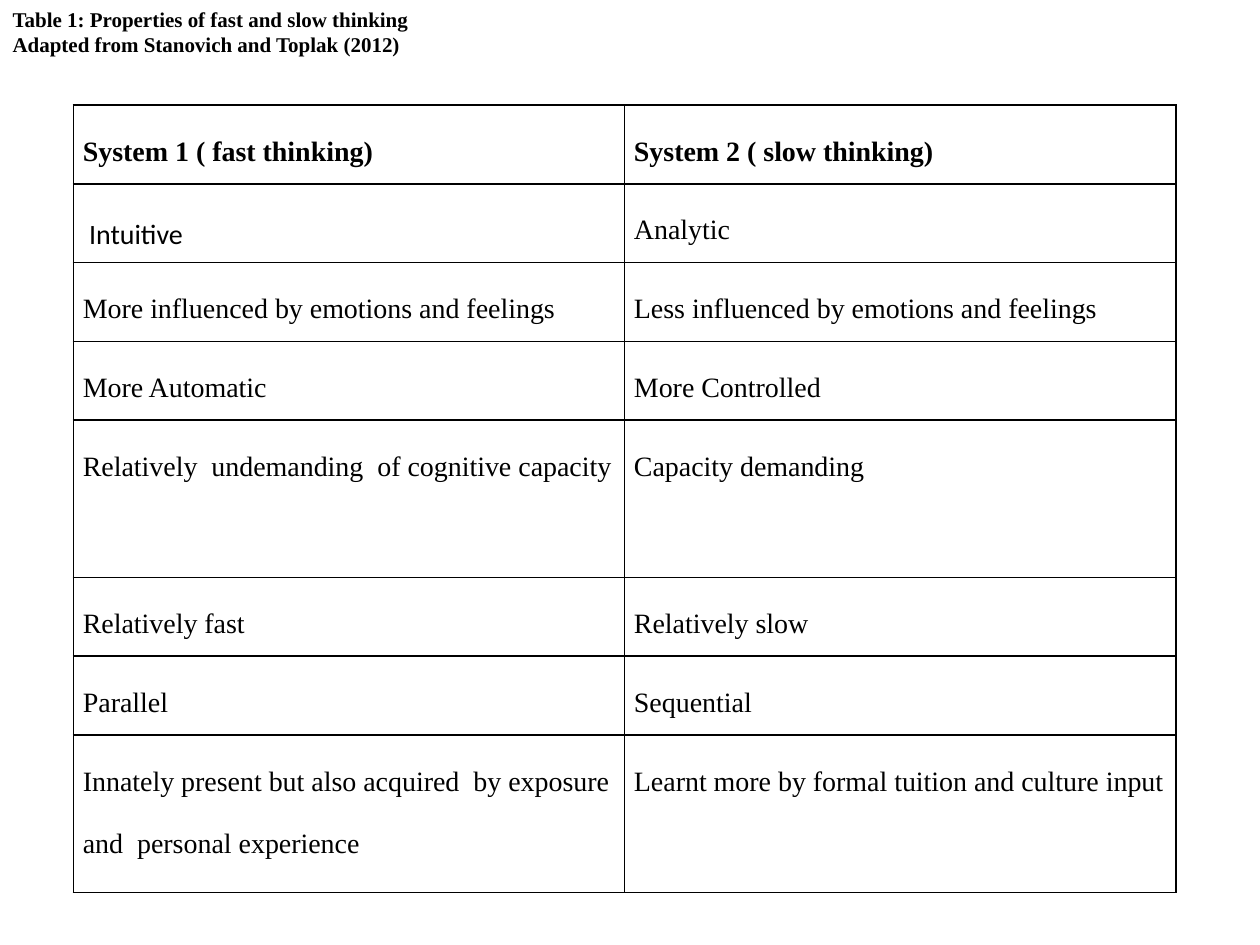
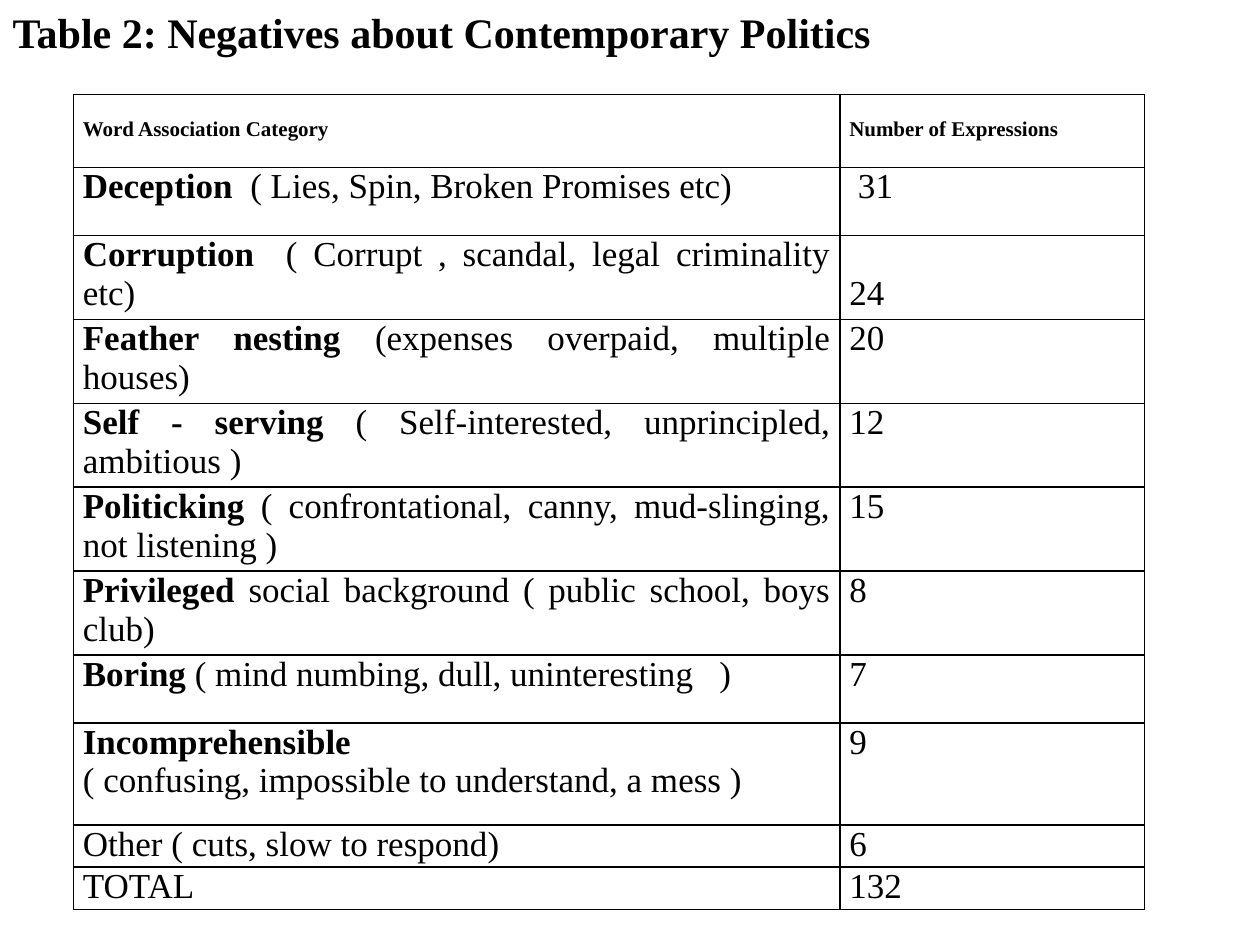
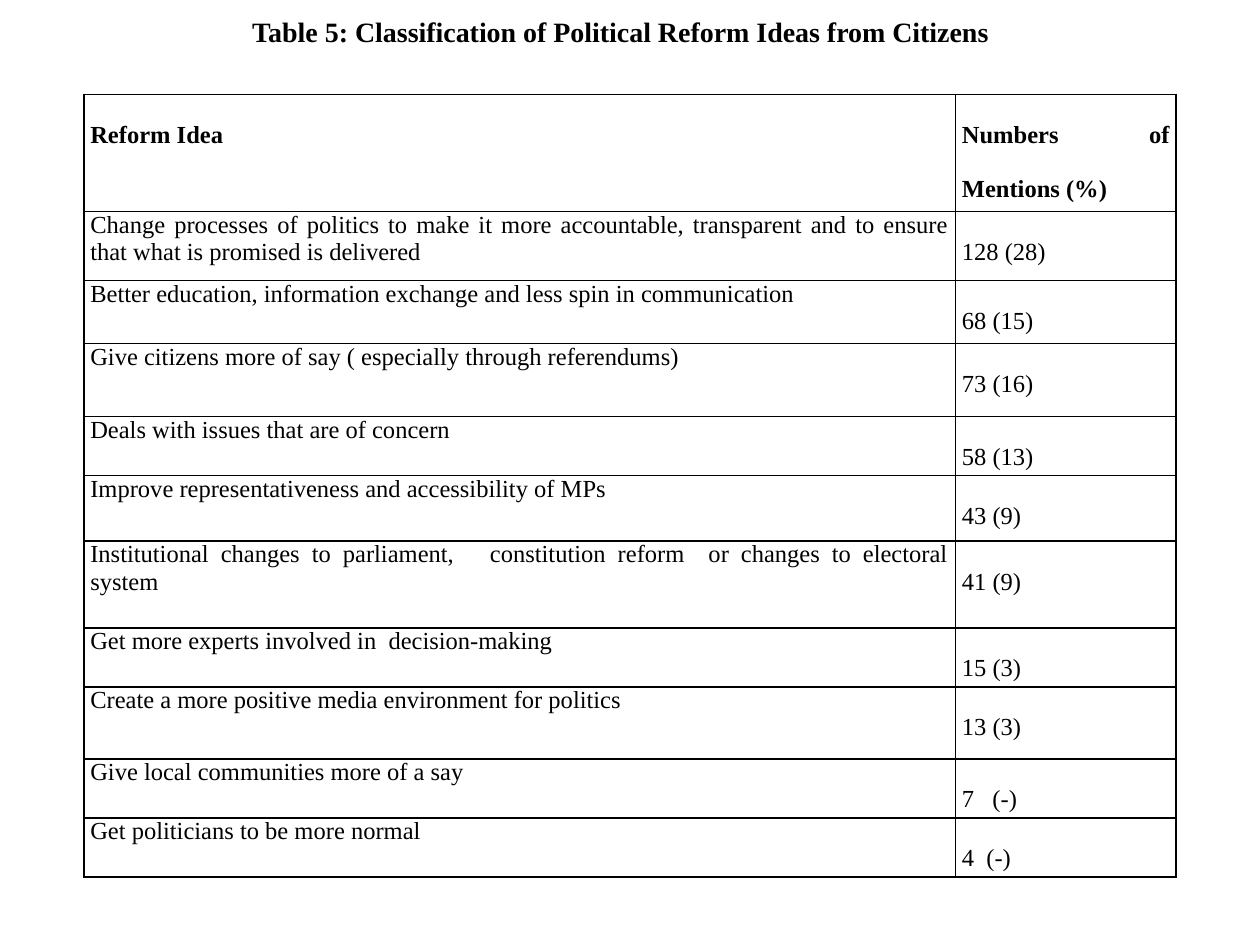
from lxml import etree
from pptx import Presentation
from pptx import util as u
from pptx.dml.color import RGBColor
from pptx.enum import text
from pptx.oxml import ns

BLACK = RGBColor(0, 0, 0)
SERIF = "Times New Roman"
LEFT, JUSTIFY = text.PP_ALIGN.LEFT, text.PP_ALIGN.JUSTIFY
TITLE_ONLY = 5

SLIDES = [
    {
        "title": "Table 1: Properties of fast and slow thinking\n"
                 "Adapted from Stanovich and Toplak (2012)",
        "title_box": (0, 0, 25.4, 1.27), "title_size": 12,
        "origin": (1.48, 2.12), "columns": (11.11, 11.12),
        "heights": [15.87 * share / 10 for share in (1, 1, 1, 1, 2, 1, 1, 2)],
        "margin": 0.19, "alignment": LEFT, "sizes": (16, 16),
        "line_spacing": (2.0, 2.0), "space_after": 0,
        "fonts": {(1, 0): "Calibri"}, "double_spaced": (),
        "rows": [
            ("System 1 ( fast thinking)", "System 2 ( slow thinking)"),
            (" Intuitive", "Analytic"),
            ("More influenced by emotions and feelings",
             "Less influenced by emotions and feelings"),
            ("More Automatic", "More Controlled"),
            ("Relatively  undemanding  of cognitive capacity", "Capacity demanding"),
            ("Relatively fast", "Relatively slow"),
            ("Parallel", "Sequential"),
            ("Innately present but also acquired  by exposure and  personal experience",
             "Learnt more by formal tuition and culture input"),
        ],
    },
    {
        "title": "Table 2: Negatives about Contemporary Politics",
        "title_box": (0, 0, 18.19, 1.27), "title_size": 24,
        "origin": (1.48, 1.9), "columns": (15.45, 6.14),
        "heights": (1.48, 1.37, *[1.69] * 5, 1.37, 2.06, 0.85, 0.85),
        "margin": 0.19, "alignment": JUSTIFY, "sizes": (12, 20),
        "line_spacing": (1.0, 1.0), "space_after": 0,
        "fonts": {}, "double_spaced": ((2, 1),),
        "rows": [
            ("Word Association Category", "Number of Expressions"),
            ("Deception|  ( Lies, Spin, Broken Promises etc)", " 31"),
            ("Corruption|  ( Corrupt , scandal, legal criminality etc)", "24"),
            ("Feather nesting| (expenses overpaid, multiple houses)", "20"),
            ("Self - serving| ( Self-interested, unprincipled, ambitious )", "12"),
            ("Politicking| ( confrontational, canny, mud-slinging, not listening )", "15"),
            ("Privileged |social background ( public school, boys club)", "8"),
            ("Boring| ( mind numbing, dull, uninteresting   )", "7"),
            ("Incomprehensible|\n( confusing, impossible to understand, a mess )", "9"),
            ("Other ( cuts, slow to respond)", "6"),
            ("TOTAL", "132"),
        ],
    },
    {
        "title": "Table 5: Classification of Political Reform Ideas from Citizens",
        "title_box": (4.83, 0.16, 15.72, 0.95), "title_size": 16,
        "origin": (1.69, 1.9), "columns": (17.57, 4.45),
        "heights": (2.36, 1.4, 1.27, 1.47, 1.19, 1.32, 1.75, 1.19, 1.45, 1.19, 1.19),
        "margin": 0.13, "alignment": JUSTIFY, "sizes": (14, 14),
        "line_spacing": (1.0, 2.0), "space_after": 10,
        "fonts": {}, "double_spaced": (),
        "rows": [
            ("Reform Idea", "Numbers of Mentions (%)"),
            ("Change processes of politics to make it more accountable, transparent "
             "and to ensure that what is promised is delivered", "128 (28)"),
            ("Better education, information exchange and less spin in communication",
             "68 (15)"),
            ("Give citizens more of say ( especially through referendums)", "73 (16)"),
            ("Deals with issues that are of concern", "58 (13)"),
            ("Improve representativeness and accessibility of MPs", "43 (9)"),
            ("Institutional changes to parliament,   constitution reform  "
             "or changes to electoral system", "41 (9)"),
            ("Get more experts involved in  decision-making", "15 (3)"),
            ("Create a more positive media environment for politics", "13 (3)"),
            ("Give local communities more of a say", "7   (-)"),
            ("Get politicians to be more normal", "4  (-)"),
        ],
    },
]


def set_attributes(target, **values):
    for name, value in values.items():
        setattr(target, name, value)


def write(frame, content, bold, font, size, **paragraph_format):
    for index, line in enumerate(content.split("\n")):
        paragraph = frame.paragraphs[0] if index == 0 else frame.add_paragraph()
        set_attributes(paragraph, **paragraph_format)
        lead, _, rest = line.rpartition("|")
        for words, is_bold in ((lead, True), (rest, bold)):
            if words:
                run = paragraph.add_run()
                run.text = words
                set_attributes(run.font, name=font, size=u.Pt(size), bold=is_bold)
                run.font.color.rgb = BLACK


def add_borders(cell):
    properties = cell._tc.get_or_add_tcPr()
    for index, side in enumerate(("lnL", "lnR", "lnT", "lnB")):
        line = etree.Element(ns.qn("a:" + side), w=str(u.Pt(1)))
        fill = etree.SubElement(line, ns.qn("a:solidFill"))
        etree.SubElement(fill, ns.qn("a:srgbClr"), val=str(BLACK))
        properties.insert(index, line)


def add_title(slide, content):
    title = slide.shapes.title
    for name, value in zip(("left", "top", "width", "height"), content["title_box"]):
        setattr(title, name, u.Cm(value))
    set_attributes(title.text_frame, word_wrap=True,
                   auto_size=text.MSO_AUTO_SIZE.NONE,
                   vertical_anchor=text.MSO_ANCHOR.MIDDLE)
    write(title.text_frame, content["title"], True, SERIF, content["title_size"],
          alignment=LEFT)


def add_table(slide, content):
    rows, columns, heights = content["rows"], content["columns"], content["heights"]
    left, top = content["origin"]
    box = [u.Cm(value) for value in (left, top, sum(columns), sum(heights))]
    table = slide.shapes.add_table(len(rows), len(columns), *box).table
    set_attributes(table, first_row=False, horz_banding=False)
    for column, width in zip(table.columns, columns):
        column.width = u.Cm(width)
    margin = u.Cm(content["margin"])
    for r, row in enumerate(rows):
        table.rows[r].height = u.Cm(heights[r])
        for c, words in enumerate(row):
            cell = table.cell(r, c)
            set_attributes(cell, margin_left=margin, margin_right=margin,
                           margin_top=0, margin_bottom=0,
                           vertical_anchor=text.MSO_ANCHOR.TOP)
            cell.fill.background()
            add_borders(cell)
            is_double = r == 0 or (r, c) in content["double_spaced"]
            write(cell.text_frame, words, r == 0,
                  content["fonts"].get((r, c), SERIF), content["sizes"][r > 0],
                  alignment=content["alignment"],
                  line_spacing=2.0 if is_double else content["line_spacing"][c],
                  space_after=u.Pt(content["space_after"]))


presentation = Presentation()
set_attributes(presentation, slide_width=u.Cm(25.4), slide_height=u.Cm(19.05))
for content in SLIDES:
    slide = presentation.slides.add_slide(presentation.slide_layouts[TITLE_ONLY])
    add_title(slide, content)
    add_table(slide, content)
presentation.save("out.pptx")
